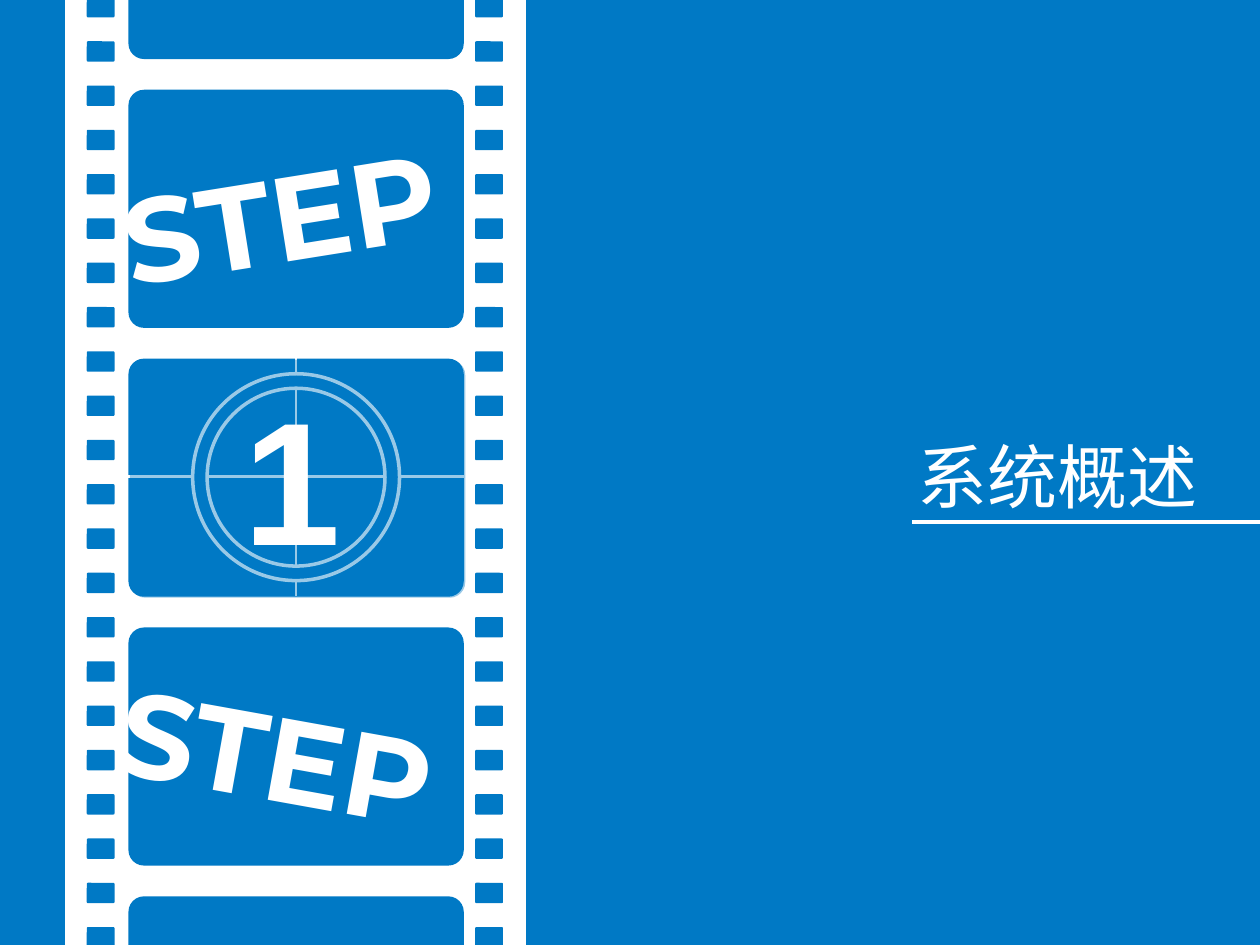
from lxml import etree
from pptx import Presentation
from pptx.dml.color import RGBColor
from pptx.enum.shapes import MSO_CONNECTOR, MSO_SHAPE
from pptx.enum.text import MSO_ANCHOR, PP_ALIGN
from pptx.oxml.ns import qn
from pptx.util import Cm, Pt

RECT, ROUND, DONUT = MSO_SHAPE.RECTANGLE, MSO_SHAPE.ROUNDED_RECTANGLE, MSO_SHAPE.DONUT
STRAIGHT = MSO_CONNECTOR.STRAIGHT
TOP, LEFT = MSO_ANCHOR.TOP, PP_ALIGN.LEFT
BLUE, WHITE = "0079C5", "FFFFFF"
FRAME_W, FRAME_H, FRAME_PITCH = 6.76, 4.8, 5.42
HOLE_COUNT, HOLE_SPAN = 22, 18.75


def paint(color_format, hex_color):
    """Apply a hex colour to a fill or font colour."""
    color_format.rgb = RGBColor.from_string(hex_color)


def add_shape(s, kind, x, y, w, h, fill, adj=None, line=None):
    """Add a flat preset shape, with a white outline of the given width if any."""
    sp = s.shapes.add_shape(kind, Cm(x), Cm(y), Cm(w), Cm(h))
    sp.shadow.inherit = False
    sp.fill.solid()
    paint(sp.fill.fore_color, fill)
    if adj is not None:
        sp.adjustments[0] = adj
    if line:
        sp.line.width = Pt(line)
        paint(sp.line.color, WHITE)
    else:
        sp.line.fill.background()
    return sp


def add_line(s, x1, y1, x2, y2, width):
    """Add a straight white line without shadow."""
    ln = s.shapes.add_connector(STRAIGHT, Cm(x1), Cm(y1), Cm(x2), Cm(y2))
    ln.line.width = Pt(width)
    paint(ln.line.color, WHITE)
    etree.SubElement(ln._element.spPr, qn("a:effectLst"))


def write(sp, text, font, size, bold):
    """Write one left-aligned white run at the top of a shape."""
    tf = sp.text_frame
    tf.word_wrap = True
    tf.vertical_anchor = TOP
    p = tf.paragraphs[0]
    p.alignment = LEFT
    r = p.add_run()
    r.text = text
    r.font.name, r.font.size, r.font.bold = font, Pt(size), bold
    paint(r.font.color, WHITE)
    etree.SubElement(r._r.get_or_add_rPr(), qn("a:ea"), typeface=font)


def add_text(s, x, y, w, h, text, font, size, rotation=0):
    """Add a bold text box."""
    sp = s.shapes.add_textbox(Cm(x), Cm(y), Cm(w), Cm(h))
    sp.rotation = rotation
    write(sp, text, font, size, True)


def film_strip(s, x, y, w, h):
    """Draw the film strip with its sprocket holes, frames and tilted words."""
    add_shape(s, RECT, x, y, w, h, WHITE, line=4.5)
    for dx in (0.35, 8.18):
        for i in range(HOLE_COUNT):
            top = y + 0.32 + i * HOLE_SPAN / (HOLE_COUNT - 1)
            add_shape(s, ROUND, x + dx, top, 0.56, 0.41, BLUE, 0.06)
    for i in range(5):
        add_shape(s, ROUND, x + 1.19, y - 3.23 + i * FRAME_PITCH,
                  FRAME_W, FRAME_H, BLUE, 0.065)
    for dx, dy, rotation in ((0.81, 3.0, -9.1), (0.73, 14.17, 10.2)):
        add_text(s, x + dx, y + dy, 8.76, 3.16, "STEP", "Montserrat", 68, rotation)


def countdown(s, x, y, w, h):
    """Draw the countdown leader: cross hairs, ring, tint and number."""
    cx, cy, d = x + w / 2, y + h / 2, 4.17
    add_line(s, x, cy - 0.02, x + w + 0.23, cy - 0.02, 1.5)
    add_line(s, cx, y, cx, y + h, 1.5)
    add_shape(s, DONUT, cx - d / 2, cy - d / 2, d, d, BLUE, 0.07, 2)
    tint = add_shape(s, ROUND, x + 0.03, y + 0.03, w, h, BLUE, 0.065)
    color = tint._element.spPr.find(qn("a:solidFill"))[0]
    etree.SubElement(color, qn("a:alpha"), val="40000")
    add_text(s, x + 2.06, y + 0.13, 4.95, 4.52, "1", "Arial", 100)


def section_title(s, x, y, w, h):
    """Place the section title and the rule running below it to the slide edge."""
    sp = s.shapes.title
    sp.left, sp.top, sp.width, sp.height = Cm(x), Cm(y), Cm(w), Cm(h)
    write(sp, "系统概述", "Noto Sans CJK SC", 40, False)
    add_line(s, x + 0.15, y + 1.91, 25.4, y + 1.91, 2.25)


def main():
    """Build and save the section slide."""
    prs = Presentation()
    prs.slide_width, prs.slide_height = Cm(25.4), Cm(19.05)
    s = prs.slides.add_slide(prs.slide_layouts[5])
    s.background.fill.solid()
    paint(s.background.fill.fore_color, BLUE)
    film_strip(s, 1.4, -0.38, 9.12, 19.84)
    countdown(s, 2.59, 7.22, FRAME_W, FRAME_H)
    section_title(s, 18.24, 8.61, 6.55, 1.96)
    prs.save("out.pptx")


if __name__ == "__main__":
    main()
